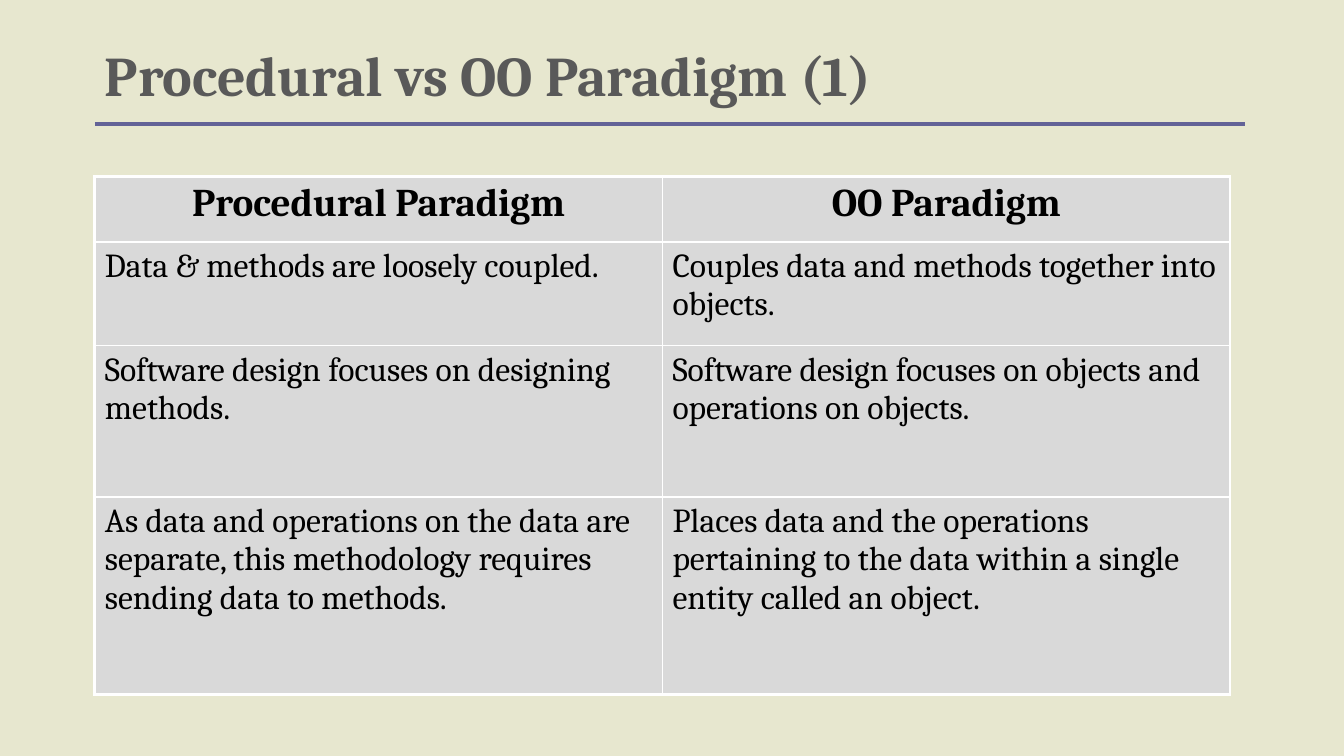
"""Build the slide comparing the procedural and OO paradigms in a table."""
from lxml import etree
from pptx import Presentation
from pptx.dml.color import RGBColor
from pptx.enum.shapes import MSO_CONNECTOR
from pptx.enum.text import MSO_ANCHOR, MSO_AUTO_SIZE, PP_ALIGN
from pptx.oxml.ns import qn
from pptx.util import Inches, Pt

STRAIGHT = MSO_CONNECTOR.STRAIGHT
BOTTOM = MSO_ANCHOR.BOTTOM
NO_AUTOFIT = MSO_AUTO_SIZE.NONE
LEFT, CENTER = PP_ALIGN.LEFT, PP_ALIGN.CENTER
FONT = "Cambria"
COLORS = {"background": "E7E7CF", "title": "595959", "rule": "636397",
          "cell": "D9D9D9", "border": "FFFFFF", "text": "000000"}
MARGIN = Inches(0.94)
ROW_HEIGHTS = [0.65, 1.03, 1.5, 1.96]
COLUMN_WIDTH = 5.63
COMPARISON = [
    ("Procedural Paradigm", "OO Paradigm"),
    ("Data & methods are loosely coupled.",
     "Couples data and methods together into objects."),
    ("Software design focuses on designing methods.",
     "Software design focuses on objects and operations on objects."),
    ("As data and operations on the data are separate, this methodology "
     "requires sending data to methods.",
     "Places data and the operations pertaining to the data within a single "
     "entity called an object."),
]


def style_font(font, size, color, bold):
    for name, value in {"name": FONT, "size": Pt(size), "bold": bold}.items():
        setattr(font, name, value)
    font.color.rgb = RGBColor.from_string(COLORS[color])


def add_border(cell, side, width):
    line = etree.SubElement(cell._tc.get_or_add_tcPr(), qn(f"a:{side}"), w=str(Pt(width)))
    fill = etree.SubElement(line, qn("a:solidFill"))
    etree.SubElement(fill, qn("a:srgbClr"), val=COLORS["border"])


prs = Presentation()
prs.slide_width, prs.slide_height = Inches(13.33), Inches(7.5)
slide = prs.slides.add_slide(prs.slide_layouts[5])
slide.background.fill.solid()
slide.background.fill.fore_color.rgb = RGBColor.from_string(COLORS["background"])

title = slide.shapes.title
title.left, title.top = MARGIN, Inches(0.33)
title.width, title.height = Inches(8.92), Inches(0.78)
title.text_frame.text = "Procedural vs OO Paradigm (1)"
title.text_frame.auto_size = NO_AUTOFIT
title.text_frame.vertical_anchor = BOTTOM
heading = title.text_frame.paragraphs[0]
heading.alignment = LEFT
heading.line_spacing = 0.8
style_font(heading.runs[0].font, 40, "title", True)

table = slide.shapes.add_table(
    len(COMPARISON), 2, MARGIN, Inches(1.75),
    Inches(2 * COLUMN_WIDTH), Inches(sum(ROW_HEIGHTS))).table
table.first_row = table.horz_banding = False
for column in table.columns:
    column.width = Inches(COLUMN_WIDTH)

last_row = len(COMPARISON) - 1
for r, statements in enumerate(COMPARISON):
    table.rows[r].height = Inches(ROW_HEIGHTS[r])
    is_header = r == 0
    for c, statement in enumerate(statements):
        cell = table.cell(r, c)
        cell.text = statement
        paragraph = cell.text_frame.paragraphs[0]
        paragraph.alignment = CENTER if is_header else LEFT
        for tag, percent in {"a:spcBef": 20, "a:spcAft": 50}.items():
            spacing = etree.SubElement(paragraph._p.get_or_add_pPr(), qn(tag))
            etree.SubElement(spacing, qn("a:spcPct"), val=str(percent * 1000))
        style_font(paragraph.runs[0].font, 28 if is_header else 24, "text", is_header)
        outer_sides = {"lnL": c == 0, "lnR": c == 1, "lnT": is_header, "lnB": r == last_row}
        for side, is_outer in outer_sides.items():
            add_border(cell, side, 2.25 if is_outer else 1)
        cell.fill.solid()
        cell.fill.fore_color.rgb = RGBColor.from_string(COLORS["cell"])

rule = slide.shapes.add_connector(STRAIGHT, MARGIN, Inches(1.23), Inches(12.35), Inches(1.23))
rule.line.color.rgb = RGBColor.from_string(COLORS["rule"])
rule.line.width = Pt(2.5)
etree.SubElement(rule._element.spPr, qn("a:effectLst"))

prs.save("out.pptx")
